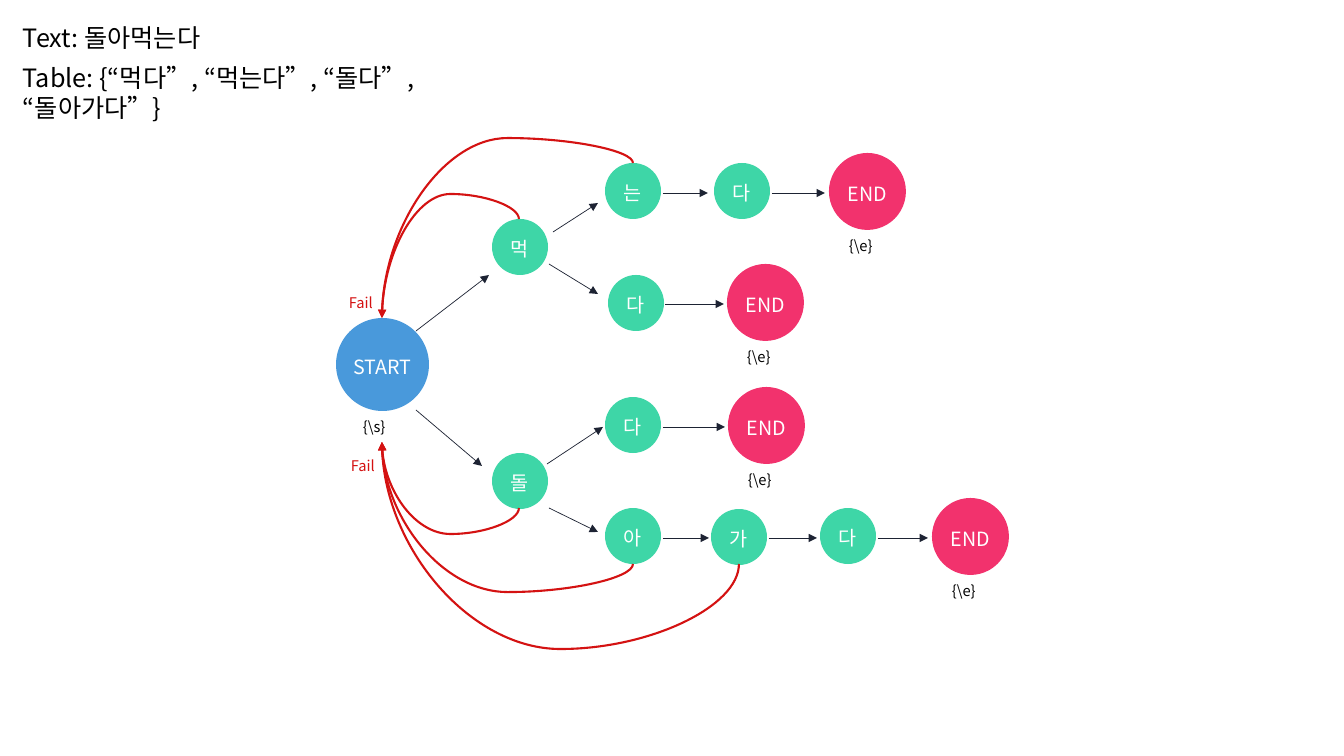
from pptx import Presentation
from pptx.dml.color import RGBColor as Rgb
from pptx.enum.shapes import MSO_CONNECTOR as Link, MSO_SHAPE as Form
from pptx.enum.text import MSO_AUTO_SIZE as Fit, PP_ALIGN as Align
from pptx.oxml.ns import qn
from pptx.util import Emu, Pt
from lxml.etree import SubElement as Sub

SCALE = 914400 / 100.8
FONT = "Noto Sans CJK KR"
COLORS = {"start": "4999DB", "end": "F2326D", "node": "3ED6A7", "arrow": "1D2333",
          "fail": "D41212", "black": "000000", "white": "FFFFFF"}
SIZES = {"start": 93, "end": 77, "node": 56}

# Circles: kind, word, left, top
NODES = [
    ("start", "START", 336, 318),
    ("node", "먹", 492, 219), ("node", "는", 605, 163), ("node", "다", 714, 163),
    ("end", "END", 829, 153),
    ("node", "다", 608, 275), ("end", "END", 727, 264),
    ("node", "돌", 492, 453), ("node", "다", 605, 397), ("end", "END", 728, 387),
    ("node", "아", 605, 508), ("node", "가", 711, 509), ("node", "다", 820, 508),
    ("end", "END", 932, 498),
]
# Marks under circles: text, shift from the left side, width
MARKS = {"start": ("{\\s}", 17, 58), "end": ("{\\e}", 10, 57)}

# Straight arrows: x1, y1, x2, y2
ARROWS = [
    (416, 331, 489, 275), (553, 232, 598, 203), (549, 264, 598, 294),
    (416, 410, 482, 466), (547, 464, 603, 427), (549, 508, 598, 532),
    (663, 193, 708, 193), (772, 193, 825, 193), (665, 304, 724, 304),
    (663, 427, 725, 427), (663, 538, 709, 538), (769, 538, 817, 538),
    (878, 538, 928, 538),
]
# Fail curves back to the start: x1, y1, y2, outer y
HOME = 382
CURVES = [
    (519, 508, 442, 534), (633, 564, 442, 592), (739, 564, 442, 649),
    (519, 219, 318, 194), (633, 163, 318, 138),
]


def px(num):
    return Emu(round(num * SCALE))


def rgb(name):
    return Rgb.from_string(COLORS[name])


def apply(item, **vals):
    for key, val in vals.items():
        setattr(item, key, val)


def add_text(slide, text, box, size, color="black", align=Align.LEFT, wrap=False):
    frame = slide.shapes.add_textbox(*map(px, box)).text_frame
    apply(frame, word_wrap=wrap, auto_size=Fit.SHAPE_TO_FIT_TEXT)
    para = frame.paragraphs[0]
    para.alignment = align
    run = para.add_run()
    run.text = text
    apply(run.font, name=FONT, size=Pt(size))
    run.font.color.rgb = rgb(color)
    Sub(run.font._element, qn("a:ea")).set("typeface", FONT)


def add_node(slide, kind, word, left, top):
    size = SIZES[kind]
    disc = slide.shapes.add_shape(Form.OVAL, *map(px, (left, top, size, size)))
    disc.shadow.inherit = False
    disc.fill.solid()
    disc.fill.fore_color.rgb = rgb(kind)
    disc.line.fill.background()
    box = (left - 4, top + (size - 34) / 2 + 2, size + 8, 34)
    add_text(slide, word, box, 14, "white", Align.CENTER, True)
    if kind in MARKS:
        mark, shift, width = MARKS[kind]
        add_text(slide, mark, (left + shift, top + size + 2, width, 28), 10.5)


def add_link(slide, form, ends, color, width):
    link = slide.shapes.add_connector(form, *map(px, ends))
    link.line.color.rgb = rgb(color)
    link.line.width = Pt(width)
    Sub(link.line._get_or_add_ln(), qn("a:tailEnd")).set("type", "triangle")
    Sub(link._element.spPr, qn("a:effectLst"))
    return link


def add_curve(slide, x1, y1, y2, outer):
    # A quarter turn swaps the width and height of the frame
    wide, high = abs(y2 - y1), x1 - HOME
    mid_x, mid_y = (x1 + HOME) / 2, (y1 + y2) / 2
    side = 1 if outer > y1 else -1
    ends = (mid_x + wide / 2, mid_y - side * high / 2,
            mid_x - wide / 2, mid_y + side * high / 2)
    link = add_link(slide, Link.CURVE, ends, "fail", 1.5)
    props = link._element.spPr
    props.find(qn("a:xfrm")).set("rot", str(side * 90 % 360 * 60000))
    guides = props.find(qn("a:prstGeom")).find(qn("a:avLst"))
    bend = Sub(guides, qn("a:gd"))
    bend.set("name", "adj1")
    bend.set("fmla", f"val {round(-abs(outer - y1) / wide * 100000)}")


def main():
    deck = Presentation()
    apply(deck, slide_width=px(1344), slide_height=px(756))
    slide = deck.slides.add_slide(deck.slide_layouts[6])

    # Input text and word table
    add_text(slide, "Text: 돌아먹는다", (13, 17, 220, 40), 18)
    add_text(slide, "Table: {“먹다”, “먹는다”, “돌다”, “돌아가다”}",
             (13, 57, 515, 40), 18, wrap=True)

    # Word tree
    for node in NODES:
        add_node(slide, *node)
    for ends in ARROWS:
        add_link(slide, Link.STRAIGHT, ends, "arrow", 0.5)

    # Fail paths
    for curve in CURVES:
        add_curve(slide, *curve)
    for left, top in ((339, 289), (341, 452)):
        add_text(slide, "Fail", (left, top, 48, 28), 10.5, "fail")

    deck.save("out.pptx")


main()
